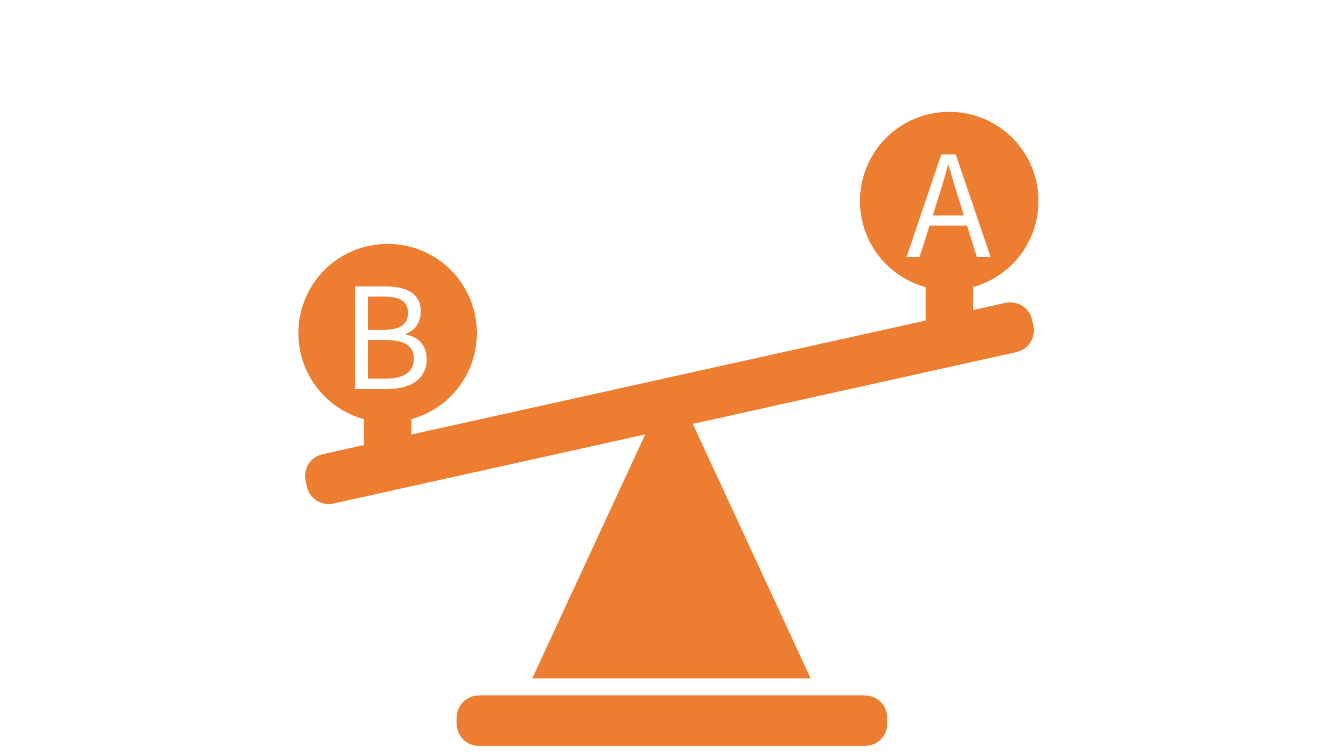
from pptx import Presentation
from pptx.dml.color import RGBColor
from pptx.enum.shapes import MSO_SHAPE
from pptx.enum.text import MSO_ANCHOR, PP_ALIGN
from pptx.util import Inches, Pt

BALL = MSO_SHAPE.OVAL
WEDGE = MSO_SHAPE.ISOSCELES_TRIANGLE
BAR = MSO_SHAPE.ROUNDED_RECTANGLE
MIDDLE = MSO_ANCHOR.MIDDLE
CENTER = PP_ALIGN.CENTER


def color(code):
    return RGBColor.from_string(code)


class Scene:
    font = "Noto Sans CJK SC"
    fill = "ED7D31"
    ink = "FFFFFF"
    size = 100
    ball = 1.77
    round = 0.442

    def __init__(self, slide):
        self.slide = slide

    def shape(self, kind, x, y, w, h, home=None):
        home = home or self.slide
        item = home.shapes.add_shape(
            kind, Inches(x), Inches(y), Inches(w), Inches(h))
        item.shadow.inherit = False
        item.fill.solid()
        item.fill.fore_color.rgb = color(self.fill)
        item.line.fill.background()
        return item

    def bar(self, x, y, w, h, turn=0):
        item = self.shape(BAR, x, y, w, h)
        item.adjustments[0] = self.round
        item.rotation = turn
        return item

    def letter(self, item, text):
        frame = item.text_frame
        frame.vertical_anchor = MIDDLE
        para = frame.paragraphs[0]
        para.alignment = CENTER
        run = para.add_run()
        run.text = text
        run.font.name = self.font
        run.font.size = Pt(self.size)
        run.font.color.rgb = color(self.ink)

    def weight(self, text, x, y):
        """A lettered ball on a short stem, grouped."""
        group = self.slide.shapes.add_group_shape()
        ball = self.shape(BALL, x, y, self.ball, self.ball, group)
        self.letter(ball, text)
        self.shape(BAR, x + 0.65, y + 1.52, 0.47, 0.67, group)


def main():
    deck = Presentation()
    deck.slide_width = Inches(13.33)
    deck.slide_height = Inches(7.5)
    scene = Scene(deck.slides.add_slide(deck.slide_layouts[6]))

    # Stand: pivot and base
    scene.shape(WEDGE, 5.28, 3.75, 2.76, 2.98)
    scene.bar(4.53, 6.9, 4.27, 0.5)

    # Tilted beam
    scene.bar(2.95, 3.75, 7.38, 0.5, turn=347.5)

    # Weights at both ends
    for text, x, y in (("B", 2.96, 2.42), ("A", 8.53, 1.11)):
        scene.weight(text, x, y)

    deck.save("out.pptx")


if __name__ == "__main__":
    main()
